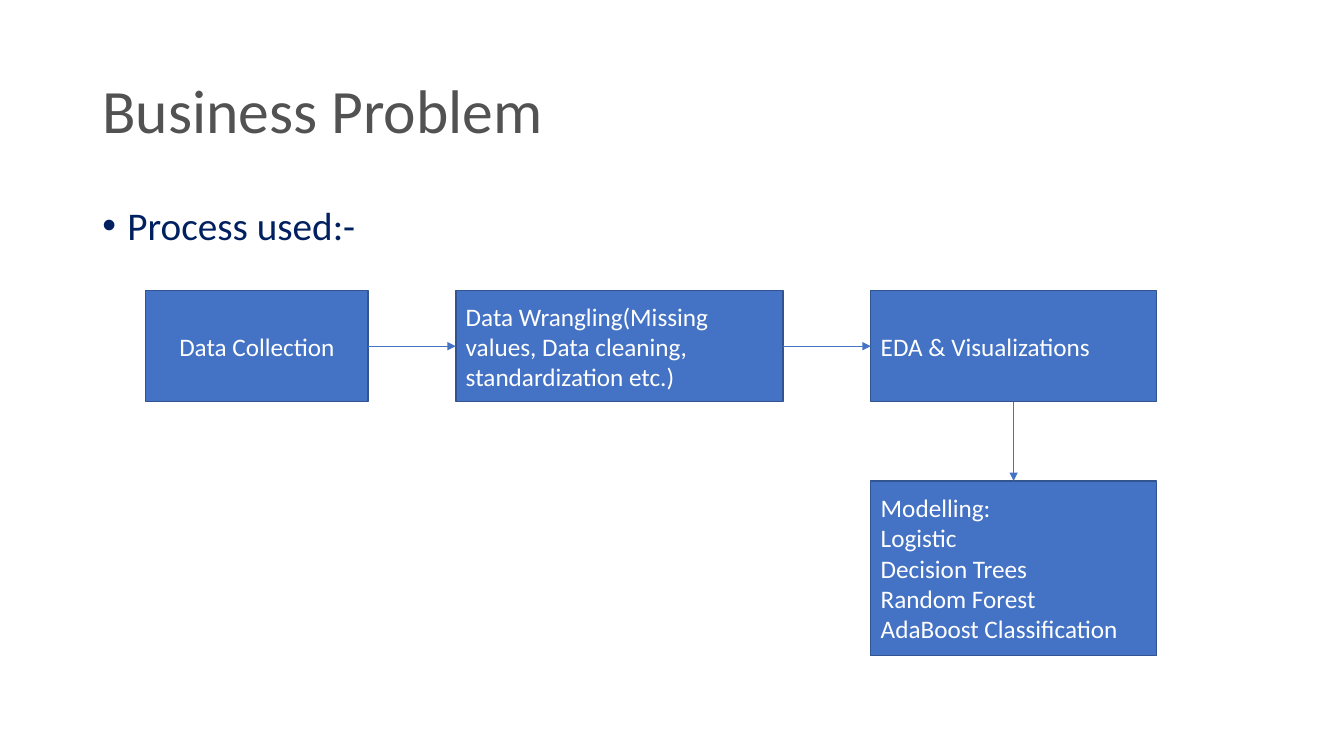
import pptx
import pptx.dml.color
import pptx.enum.shapes
import pptx.enum.text
import pptx.oxml.ns
import pptx.util
from lxml import etree

Pt = pptx.util.Pt
RGBColor = pptx.dml.color.RGBColor
Align = pptx.enum.text.PP_ALIGN
Anchor = pptx.enum.text.MSO_ANCHOR

GRAY = RGBColor(0x52, 0x52, 0x52)
NAVY = RGBColor(0x00, 0x20, 0x60)
BLUE = RGBColor(0x44, 0x72, 0xC4)
EDGE = RGBColor(0x32, 0x54, 0x91)
WHITE = RGBColor(0xFF, 0xFF, 0xFF)


def assign(item, form):
    for key, value in form.items():
        setattr(item, key, value)


def add_tag(parent, name, **attrs):
    return etree.SubElement(parent, pptx.oxml.ns.qn(name), attrs)


class Deck:
    font = "Calibri"

    def __init__(self, width, height):
        self.show = pptx.Presentation()
        assign(self.show, {"slide_width": Pt(width), "slide_height": Pt(height)})
        self.slide = self.show.slides.add_slide(self.show.slide_layouts[5])

    def label(self, shape, lines, size, color, anchor, form):
        frame = shape.text_frame
        assign(frame, {"text": "\n".join(lines), "word_wrap": True,
                       "vertical_anchor": anchor})
        for para in frame.paragraphs:
            assign(para, form)
            for run in para.runs:
                assign(run.font, {"name": self.font, "size": Pt(size)})
                run.font.color.rgb = color

    def title(self, text, left, top, width, height):
        shape = self.slide.shapes.title
        assign(shape, {"left": Pt(left), "top": Pt(top),
                       "width": Pt(width), "height": Pt(height)})
        self.label(shape, [text], 44, GRAY, Anchor.MIDDLE,
                   {"alignment": Align.LEFT, "line_spacing": 0.9})

    def bullet(self, text, *area):
        shape = self.slide.shapes.add_textbox(*map(Pt, area))
        self.label(shape, [text], 28, NAVY, Anchor.TOP,
                   {"line_spacing": 0.9, "space_before": Pt(10)})
        props = shape.text_frame.paragraphs[0]._p.get_or_add_pPr()
        for key, value in {"marL": Pt(18), "indent": Pt(-18)}.items():
            props.set(key, str(value))
        add_tag(props, "a:buFont", typeface="Arial")
        add_tag(props, "a:buChar", char="•")

    def box(self, lines, area, align=Align.LEFT):
        kind = pptx.enum.shapes.MSO_SHAPE.RECTANGLE
        shape = self.slide.shapes.add_shape(kind, *map(Pt, area))
        shape.shadow.inherit = False
        shape.fill.solid()
        shape.fill.fore_color.rgb = BLUE
        shape.line.color.rgb = EDGE
        shape.line.width = Pt(1)
        self.label(shape, lines, 18, WHITE, Anchor.MIDDLE, {"alignment": align})
        return shape

    def arrow(self, start, out, end, into):
        kind = pptx.enum.shapes.MSO_CONNECTOR.STRAIGHT
        line = self.slide.shapes.add_connector(kind, 0, 0, 0, 0)
        line.begin_connect(start, out)
        line.end_connect(end, into)
        line.line.color.rgb = BLUE
        line.line.width = Pt(0.5)
        add_tag(line.line._get_or_add_ln(), "a:tailEnd", type="triangle")
        add_tag(line._element.spPr, "a:effectLst")


def main():
    deck = Deck(960, 540)
    deck.title("Business Problem", 66, 28.75, 828, 104.4)
    deck.bullet("Process used:-", 66, 144, 828, 342.6)

    row, high = 207.6, 79.4
    last, wide = 622, 204
    data = deck.box(["Data Collection"], (104, row, 159, high), Align.CENTER)
    clean = deck.box(
        ["Data Wrangling(Missing values, Data cleaning, standardization etc.)"],
        (325.6, row, 233.6, high))
    charts = deck.box(["EDA & Visualizations"], (last, row, wide, high))
    model = deck.box(
        ["Modelling:", "Logistic", "Decision Trees", "Random Forest",
         "AdaBoost Classification"],
        (last, 343.5, wide, 124.6))

    deck.arrow(data, 3, clean, 1)
    deck.arrow(clean, 3, charts, 1)
    deck.arrow(charts, 2, model, 0)
    deck.show.save("out.pptx")


if __name__ == "__main__":
    main()
